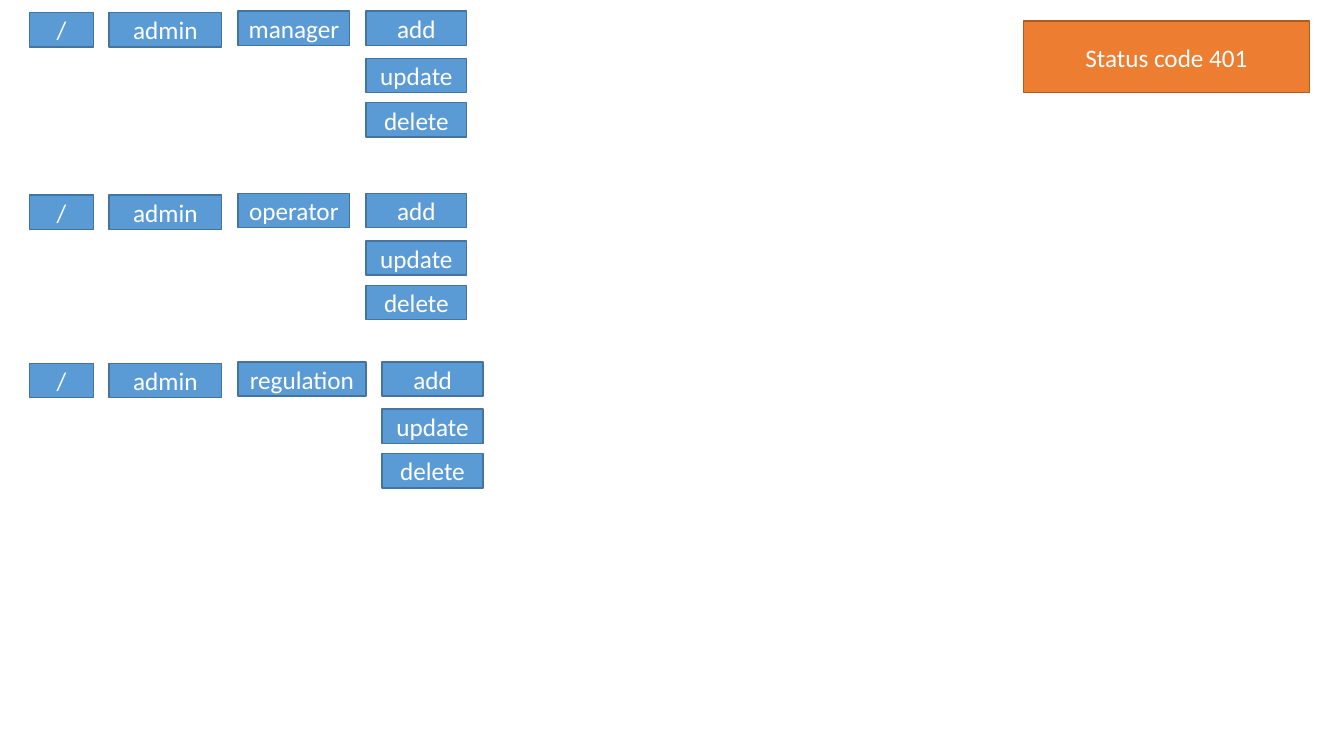
from pptx import Presentation
from pptx.dml.color import RGBColor
from pptx.enum import shapes, text
from pptx.util import Inches, Pt

# Resource name, top of its row, width of its box
ROUTES = [
    ("manager", 0.11, 1.11),
    ("operator", 1.92, 1.11),
    ("regulation", 3.59, 1.27),
]
# Label, left, width
PREFIXES = [("/", 0.29, 0.64), ("admin", 1.08, 1.12)]
# Label, distance below the top of the row
ACTIONS = [("add", 0), ("update", 0.47), ("delete", 0.91)]
STATUS = "Status code 401"

RESOURCE_LEFT = 2.36
ACTION_GAP = 0.16
ACTION_WIDTH = 1.0
BOX_HEIGHT = 0.34
PREFIX_DROP = 0.015

BLUE = RGBColor(0x5B, 0x9B, 0xD5)
DARK_BLUE = RGBColor(0x43, 0x73, 0x9E)
ORANGE = RGBColor(0xED, 0x7D, 0x31)
DARK_ORANGE = RGBColor(0xAF, 0x5C, 0x24)
WHITE = RGBColor(0xFF, 0xFF, 0xFF)


def add_box(page, label, left, top, width, height=BOX_HEIGHT,
            fill=BLUE, outline=DARK_BLUE):
    box = page.shapes.add_shape(
        shapes.MSO_SHAPE.RECTANGLE,
        Inches(left), Inches(top), Inches(width), Inches(height))
    box.shadow.inherit = False
    box.fill.solid()
    box.fill.fore_color.rgb = fill
    box.line.color.rgb = outline
    box.line.width = Pt(1)
    frame = box.text_frame
    frame.word_wrap = True
    frame.vertical_anchor = text.MSO_ANCHOR.MIDDLE
    para = frame.paragraphs[0]
    para.alignment = text.PP_ALIGN.CENTER
    span = para.add_run()
    span.text = label
    span.font.name = "Calibri"
    span.font.size = Pt(18)
    span.font.color.rgb = WHITE


def add_route(page, resource, top, width):
    """Draw one path: the prefixes, the resource and its stacked actions."""
    for label, left, prefix_width in PREFIXES:
        add_box(page, label, left, top + PREFIX_DROP, prefix_width)
    add_box(page, resource, RESOURCE_LEFT, top, width)
    action_left = RESOURCE_LEFT + width + ACTION_GAP
    for label, drop in ACTIONS:
        add_box(page, label, action_left, top + drop, ACTION_WIDTH)


def main():
    deck = Presentation()
    deck.slide_width, deck.slide_height = Inches(13.33), Inches(7.5)
    page = deck.slides.add_slide(deck.slide_layouts[6])
    for resource, top, width in ROUTES:
        add_route(page, resource, top, width)
    add_box(page, STATUS, 10.15, 0.21, 2.84, 0.71, ORANGE, DARK_ORANGE)
    deck.save("out.pptx")


if __name__ == "__main__":
    main()
